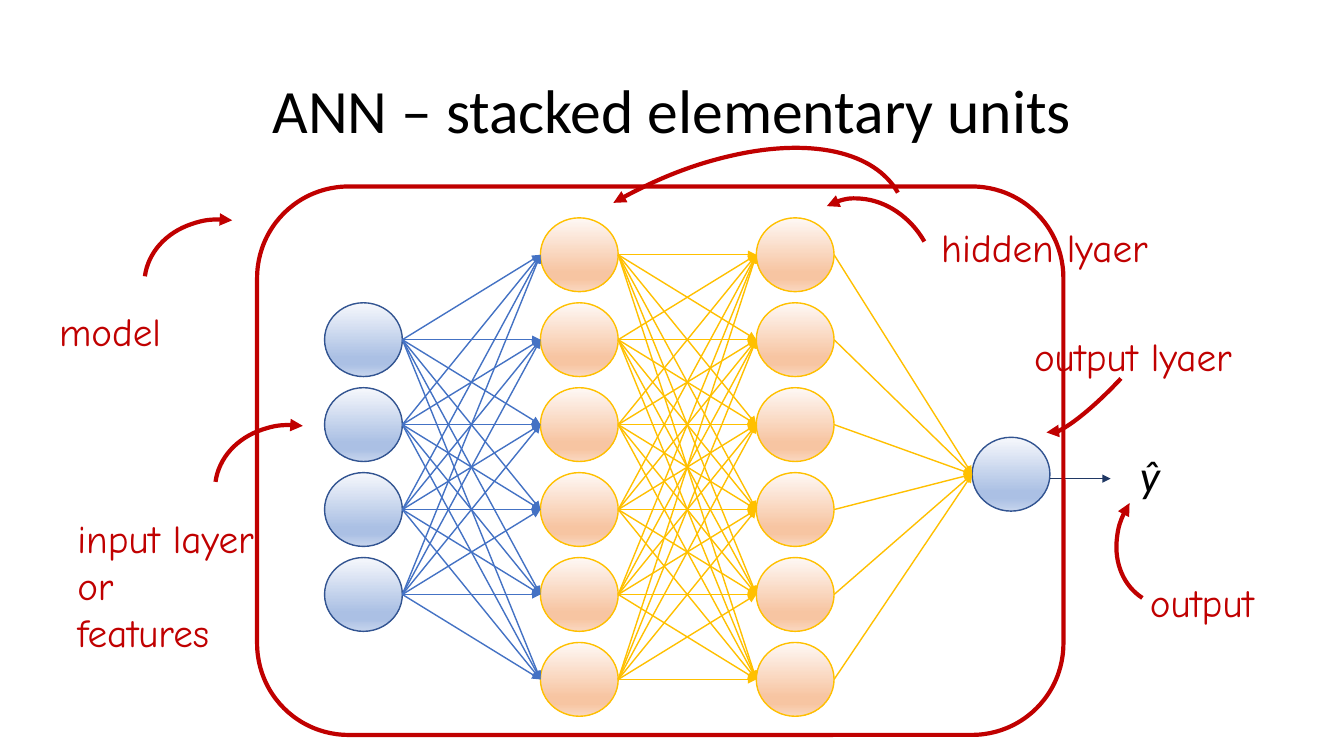
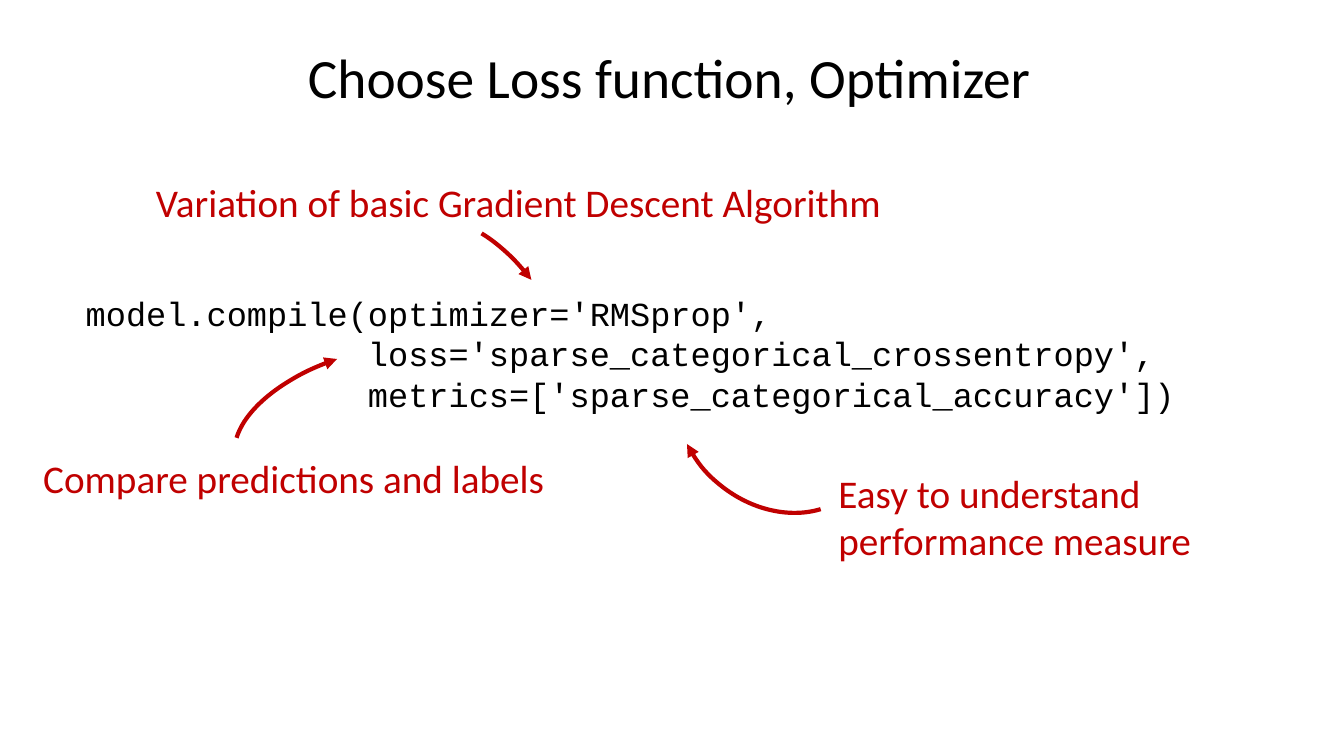
from dataclasses import dataclass
from itertools import pairwise, product

from lxml.etree import SubElement
from pptx import Presentation
from pptx.dml.color import RGBColor
from pptx.enum.shapes import MSO_CONNECTOR, MSO_SHAPE
from pptx.enum.text import MSO_ANCHOR, MSO_AUTO_SIZE, PP_ALIGN
from pptx.oxml.ns import qn
from pptx.shapes.autoshape import Shape
from pptx.slide import Slide
from pptx.util import Cm, Pt

BLACK = "000000"
RED = "C00000"
BLUE = "4472C4"
NAVY = "203864"
GOLD = "FFC000"
SANS = "Calibri"
HAND = "Comic Neue"
MONO = "Courier New"

NODE_WIDTH, NODE_HEIGHT = 1.96, 1.86
COLUMN_LEFT, COLUMN_PITCH = 8.18, 5.44
ROW_PITCH = 2.14
GRADIENT_STOPS = (0, 74, 83, 100)


@dataclass(frozen=True)
class Place:
    left: float
    top: float
    width: float
    height: float

    def lengths(self) -> tuple[Cm, Cm, Cm, Cm]:
        return Cm(self.left), Cm(self.top), Cm(self.width), Cm(self.height)


@dataclass(frozen=True)
class NodeStyle:
    gradient: tuple[str, ...]
    outline: str


@dataclass(frozen=True)
class Layer:
    column: int
    top: float
    count: int
    style: NodeStyle
    edge_color: str = GOLD

    @property
    def left(self) -> float:
        return COLUMN_LEFT + self.column * COLUMN_PITCH

    @property
    def tops(self) -> list[float]:
        return [self.top + row * ROW_PITCH for row in range(self.count)]

    @property
    def centers(self) -> list[float]:
        return [top + NODE_HEIGHT / 2 for top in self.tops]


@dataclass(frozen=True)
class Label:
    place: Place
    lines: tuple[str, ...]
    font: str = SANS
    size: float = 28
    color: str = RED
    italic: bool = False
    align: PP_ALIGN = PP_ALIGN.LEFT
    wrap: bool = True


@dataclass(frozen=True)
class CurvedArrow:
    place: Place
    rotation: float
    arrow_end: str = "tailEnd"
    flipped: bool = False
    angles: tuple[float, float] = (162, 0)


BLUE_NODE = NodeStyle(("F6F8FC", "ABC0E4", "ABC0E4", "C7D5ED"), "325491")
ORANGE_NODE = NodeStyle(("FEF8F5", "F7C5A2", "F7C5A2", "FAD8C1"), GOLD)

LAYERS = (
    Layer(0, 7.63, 4, BLUE_NODE, BLUE),
    Layer(1, 5.49, 6, ORANGE_NODE),
    Layer(2, 5.49, 6, ORANGE_NODE),
    Layer(3, 11.02, 1, BLUE_NODE),
)

NETWORK_ARROWS = (
    CurvedArrow(Place(3.94, 5.23, 3.38, 3.99), 277.6),
    CurvedArrow(Place(5.72, 10.41, 3.38, 3.99), 277.6),
    CurvedArrow(Place(20.14, 4.93, 3.38, 3.99), 330.2, "headEnd"),
    CurvedArrow(Place(10.77, 4.67, 12.7, 6.68), 330.2, "headEnd"),
    CurvedArrow(Place(27.48, 6.96, 0.89, 4.55), 223, "headEnd", True),
    CurvedArrow(Place(27.94, 11.96, 3.68, 3.12), 302.6, "headEnd", True),
)

NETWORK_LABELS = (
    Label(Place(28.42, 11.15, 1.12, 1.83), ("ŷ",), SANS, 32, BLACK, True, PP_ALIGN.CENTER, False),
    Label(Place(1.24, 7.62, 4.39, 1.45), ("model",), HAND),
    Label(Place(1.7, 12.83, 6.83, 3.84), ("input layer", "or", "features"), HAND),
    Label(Place(23.47, 5.49, 8.05, 1.45), ("hidden lyaer",), HAND),
    Label(Place(25.81, 8.26, 8.05, 1.45), ("output lyaer",), HAND),
    Label(Place(28.73, 14.45, 4.8, 1.45), ("output",), HAND),
)

COMPILE_ARROWS = (
    CurvedArrow(Place(11.33, 5.21, 2.44, 5.51), 324.7, angles=(176.46, 208.79)),
    CurvedArrow(Place(17.37, 7.92, 4.27, 5.31), 128.4, angles=(176.46, 21.6)),
    CurvedArrow(Place(7.54, 7.14, 3.61, 7.06), 254.4, angles=(167.71, 208.79)),
)

COMPILE_LABELS = (
    Label(
        Place(1.91, 7.26, 31.8, 3.33),
        (
            "model.compile(optimizer='RMSprop',",
            "              loss='sparse_categorical_crossentropy',",
            "              metrics=['sparse_categorical_accuracy'])",
        ),
        MONO, 24, BLACK,
    ),
    Label(Place(3.68, 4.37, 19.53, 2.64), ("Variation of basic Gradient Descent Algorithm",)),
    Label(Place(20.88, 11.71, 9.83, 3.84), ("Easy to understand performance measure",)),
    Label(Place(0.84, 11.33, 19.53, 2.64), ("Compare predictions and labels",)),
)


def rgb(color: str) -> RGBColor:
    return RGBColor.from_string(color)


def add_span(para, text: str, font: str, size: float, color: str, italic: bool = False) -> None:
    span = para.add_run()
    span.text = text
    span.font.name = font
    span.font.size = Pt(size)
    span.font.italic = italic
    span.font.color.rgb = rgb(color)


def add_page(deck, title: str, place: Place, size: float) -> Slide:
    page = deck.slides.add_slide(deck.slide_layouts[5])
    box = page.shapes.title
    box.left, box.top, box.width, box.height = place.lengths()
    frame = box.text_frame
    frame.word_wrap = True
    frame.auto_size = MSO_AUTO_SIZE.NONE
    frame.vertical_anchor = MSO_ANCHOR.MIDDLE
    para = frame.paragraphs[0]
    para.alignment = PP_ALIGN.CENTER
    para.line_spacing = 0.9
    add_span(para, title, SANS, size, BLACK)
    return page


def add_label(page: Slide, label: Label) -> None:
    frame = page.shapes.add_textbox(*label.place.lengths()).text_frame
    frame.word_wrap = label.wrap
    for index, line in enumerate(label.lines):
        para = frame.add_paragraph() if index else frame.paragraphs[0]
        para.alignment = label.align
        add_span(para, line, label.font, label.size, label.color, label.italic)


def add_outline(page: Slide, kind: MSO_SHAPE, place: Place, color: str, width: float) -> Shape:
    shape = page.shapes.add_shape(kind, *place.lengths())
    shape.shadow.inherit = False
    shape.fill.background()
    shape.line.color.rgb = rgb(color)
    shape.line.width = Pt(width)
    return shape


def add_arrowhead(shape, arrow_end: str) -> None:
    outline = shape.element.spPr.find(qn("a:ln"))
    SubElement(outline, qn(f"a:{arrow_end}"), type="triangle")


def add_curved_arrow(page: Slide, arrow: CurvedArrow) -> None:
    arc = add_outline(page, MSO_SHAPE.ARC, arrow.place, RED, 3)
    arc.rotation = arrow.rotation
    for index, angle in enumerate(arrow.angles):
        arc.adjustments[index] = angle
    if arrow.flipped:
        arc.element.spPr.find(qn("a:xfrm")).set("flipH", "1")
    add_arrowhead(arc, arrow.arrow_end)


def add_straight_arrow(page: Slide, start: tuple[float, float], end: tuple[float, float], color: str) -> None:
    ends = [Cm(value) for value in (*start, *end)]
    line = page.shapes.add_connector(MSO_CONNECTOR.STRAIGHT, *ends)
    line.line.color.rgb = rgb(color)
    line.line.width = Pt(1)
    add_arrowhead(line, "tailEnd")
    SubElement(line.element.spPr, qn("a:effectLst"))


def add_node(page: Slide, left: float, top: float, style: NodeStyle) -> None:
    place = Place(left, top, NODE_WIDTH, NODE_HEIGHT)
    node = add_outline(page, MSO_SHAPE.OVAL, place, style.outline, 1)
    node.fill.gradient()
    node.fill.gradient_angle = 270
    stops = node.element.spPr.find(f"{qn('a:gradFill')}/{qn('a:gsLst')}")
    for stop in list(stops):
        stops.remove(stop)
    for position, color in zip(GRADIENT_STOPS, style.gradient):
        stop = SubElement(stops, qn("a:gs"), pos=str(position * 1000))
        SubElement(stop, qn("a:srgbClr"), val=color)


def add_network(page: Slide) -> None:
    for layer in LAYERS:
        for top in layer.tops:
            add_node(page, layer.left, top, layer.style)
    for source, target in pairwise(LAYERS):
        for start, end in product(source.centers, target.centers):
            add_straight_arrow(
                page, (source.left + NODE_WIDTH, start), (target.left, end), source.edge_color
            )
    add_straight_arrow(page, (26.47, 12.06), (27.99, 12.06), NAVY)
    add_outline(page, MSO_SHAPE.ROUNDED_RECTANGLE, Place(6.48, 4.7, 20.32, 13.82), RED, 3)


def add_annotations(page: Slide, arrows: tuple[CurvedArrow, ...], labels: tuple[Label, ...]) -> None:
    for arrow in arrows:
        add_curved_arrow(page, arrow)
    for label in labels:
        add_label(page, label)


def main() -> None:
    deck = Presentation()
    deck.slide_width, deck.slide_height = Cm(33.87), Cm(19.05)

    network = add_page(deck, "ANN – stacked elementary units", Place(2.34, 1.02, 29.21, 3.68), 44)
    add_network(network)
    add_annotations(network, NETWORK_ARROWS, NETWORK_LABELS)

    compiling = add_page(deck, "Choose Loss function, Optimizer", Place(2.26, 0.18, 29.21, 3.68), 39.6)
    add_annotations(compiling, COMPILE_ARROWS, COMPILE_LABELS)

    deck.save("out.pptx")


if __name__ == "__main__":
    main()
